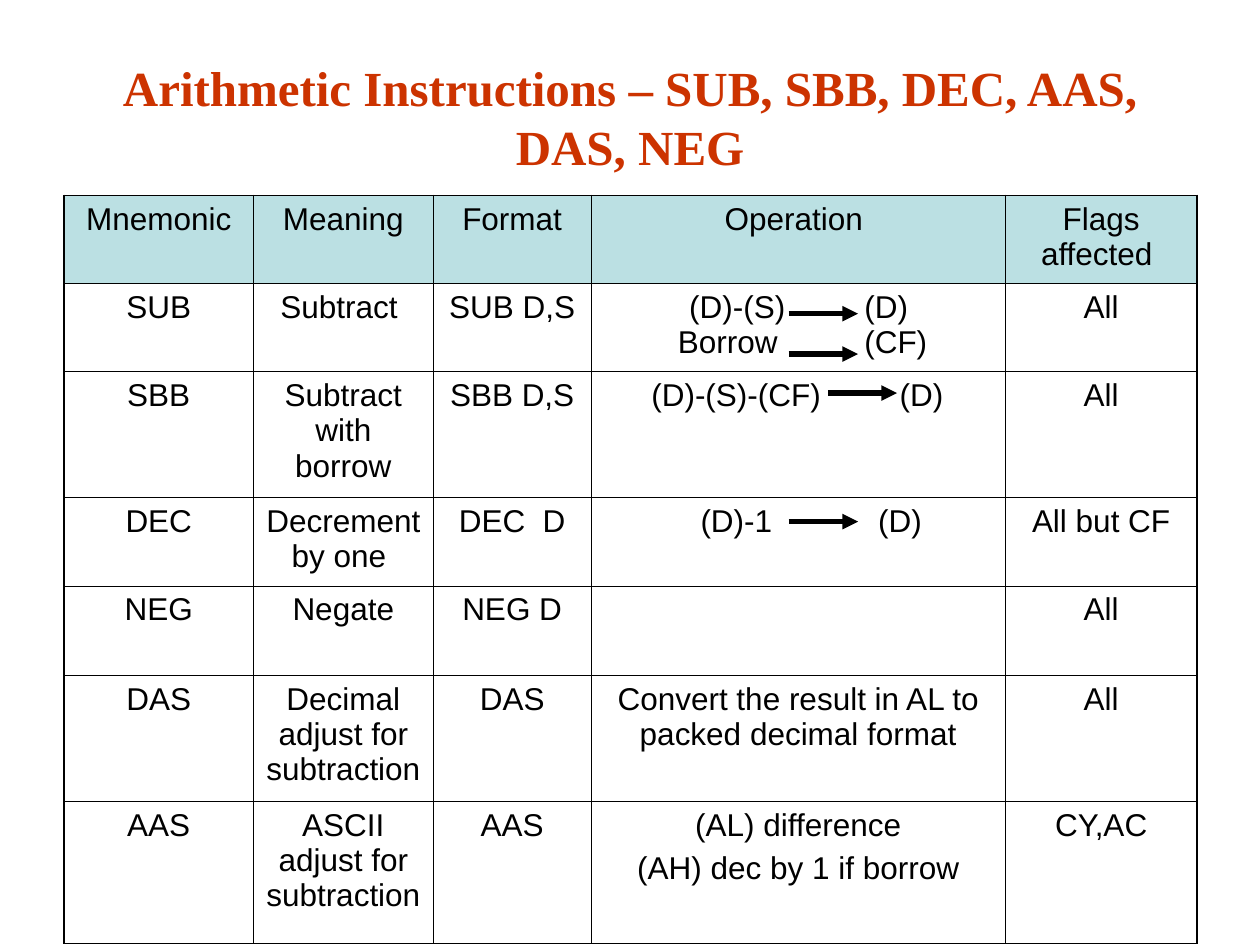
from lxml.etree import SubElement
from pptx import Presentation
from pptx.dml.color import RGBColor
from pptx.enum.shapes import MSO_CONNECTOR
from pptx.enum.text import MSO_ANCHOR, PP_ALIGN
from pptx.oxml.ns import qn
from pptx.util import Inches, Pt

COLORS = {"title": "CC3300", "ink": "000000", "header": "BBE0E3"}
TITLE_FONT = {"name": "Times New Roman", "size": Pt(28), "bold": True}
CELL_FONT = {"name": "Arial", "size": Pt(18), "bold": False}
OUTER, INNER = 0.96, 0.45  # border widths in points

COLUMN_WIDTHS = [1.5, 1.43, 1.25, 3.29, 1.52]
ROW_HEIGHTS = [0.7, 0.7, 1, 0.7, 0.71, 1, 1.13]
OPERATION = 3
INSTRUCTIONS = [
    ["Mnemonic", "Meaning", "Format", "Operation ", "Flags affected "],
    ["SUB", "Subtract ", "SUB D,S", "\t(D)-(S)\t(D)\n\tBorrow\t(CF)", "All"],
    ["SBB", "Subtract with borrow", "SBB D,S", "\t(D)-(S)-(CF)\t(D)", "All"],
    ["DEC", "Decrement by one ", "DEC  D", "\t(D)-1\t(D)", "All but CF"],
    ["NEG", "Negate", "NEG D", "", "All"],
    ["DAS", "Decimal adjust for subtraction", "DAS",
     "Convert the result in AL to packed decimal format", "All"],
    ["AAS", "ASCII adjust for subtraction ", "AAS",
     "(AL) difference\n(AH) dec by 1 if borrow", "CY,AC"],
]
# Source and destination tab stops of each operation line, by row
OPERATION_TABS = {1: [(0.68, 2.07), (0.59, 2.07)], 2: [(0.38, 2.35)], 3: [(0.77, 2.18)]}
# Row, offset from the left of the operation column, offset from the row top
ARROWS = [(1, 1.57, 0.24), (1, 1.57, 0.56), (2, 1.88, 0.17), (3, 1.57, 0.19)]
ARROW_LENGTH = 0.55


def rgb(key):
    return RGBColor.from_string(COLORS[key])


def format_font(font, values, color):
    for attribute, value in values.items():
        setattr(font, attribute, value)
    font.color.rgb = rgb(color)


def add_title(slide, left, top, width, height):
    title = slide.shapes.title
    box = {"left": left, "top": top, "width": width, "height": height}
    for attribute, value in box.items():
        setattr(title, attribute, Inches(value))
    frame = title.text_frame
    frame.text = "Arithmetic Instructions – SUB, SBB, DEC, AAS, DAS, NEG"
    frame.vertical_anchor = MSO_ANCHOR.MIDDLE
    heading = frame.paragraphs[0]
    heading.alignment = PP_ALIGN.CENTER
    format_font(heading.runs[0].font, TITLE_FONT, "title")


def set_borders(cell, widths):
    properties = cell._tc.get_or_add_tcPr()
    for side, width in widths.items():
        border = SubElement(properties, qn(f"a:ln{side}"), w=str(Pt(width)))
        fill = SubElement(border, qn("a:solidFill"))
        SubElement(fill, qn("a:srgbClr"), val=COLORS["ink"])


def add_tabs(paragraph, stops):
    tabs = SubElement(paragraph._p.get_or_add_pPr(), qn("a:tabLst"))
    for stop in stops:
        SubElement(tabs, qn("a:tab"), pos=str(Inches(stop)), algn="l")


def fill_cell(cell, text, stops):
    cell.text = text
    for index, paragraph in enumerate(cell.text_frame.paragraphs):
        paragraph.alignment = PP_ALIGN.LEFT if stops else PP_ALIGN.CENTER
        if stops:
            add_tabs(paragraph, stops[index])
        elif index:
            paragraph.space_before = Pt(4.5)
        format_font(paragraph.font, CELL_FONT, "ink")
        for run in paragraph.runs:
            format_font(run.font, CELL_FONT, "ink")


def add_instruction_table(slide, left, top):
    row_count, column_count = len(ROW_HEIGHTS), len(COLUMN_WIDTHS)
    table = slide.shapes.add_table(
        row_count, column_count, Inches(left), Inches(top),
        Inches(sum(COLUMN_WIDTHS)), Inches(sum(ROW_HEIGHTS))).table
    table.first_row = table.horz_banding = False
    for column, width in zip(table.columns, COLUMN_WIDTHS):
        column.width = Inches(width)
    for row, height in zip(table.rows, ROW_HEIGHTS):
        row.height = Inches(height)

    for r, instruction in enumerate(INSTRUCTIONS):
        for c, text in enumerate(instruction):
            cell = table.cell(r, c)
            stops = OPERATION_TABS.get(r) if c == OPERATION else None
            fill_cell(cell, text, stops)
            at_edge = {"L": c == 0, "R": c == column_count - 1,
                       "T": r == 0, "B": r == row_count - 1}
            set_borders(cell, {side: OUTER if edge else INNER
                               for side, edge in at_edge.items()})
            if r == 0:
                cell.fill.solid()
                cell.fill.fore_color.rgb = rgb("header")
            else:
                cell.fill.background()


def add_arrow(slide, left, top):
    arrow = slide.shapes.add_connector(
        MSO_CONNECTOR.STRAIGHT, Inches(left), Inches(top),
        Inches(left + ARROW_LENGTH), Inches(top))
    arrow.line.color.rgb = rgb("ink")
    arrow.line.width = Pt(3)
    SubElement(arrow.line._get_or_add_ln(), qn("a:tailEnd"), type="triangle")
    SubElement(arrow._element.spPr, qn("a:effectLst"))


def add_operation_arrows(slide, left, top):
    column_left = left + sum(COLUMN_WIDTHS[:OPERATION])
    for row, across, down in ARROWS:
        add_arrow(slide, column_left + across, top + sum(ROW_HEIGHTS[:row]) + down)


def main():
    presentation = Presentation()
    presentation.slide_width, presentation.slide_height = Inches(10), Inches(7.5)
    slide = presentation.slides.add_slide(presentation.slide_layouts[5])
    # Heading
    add_title(slide, 0.5, 0.3, 9, 1.25)
    # Instruction table with its operation arrows
    table_left, table_top = 0.51, 1.55
    add_instruction_table(slide, table_left, table_top)
    add_operation_arrows(slide, table_left, table_top)
    presentation.save("out.pptx")


if __name__ == "__main__":
    main()
